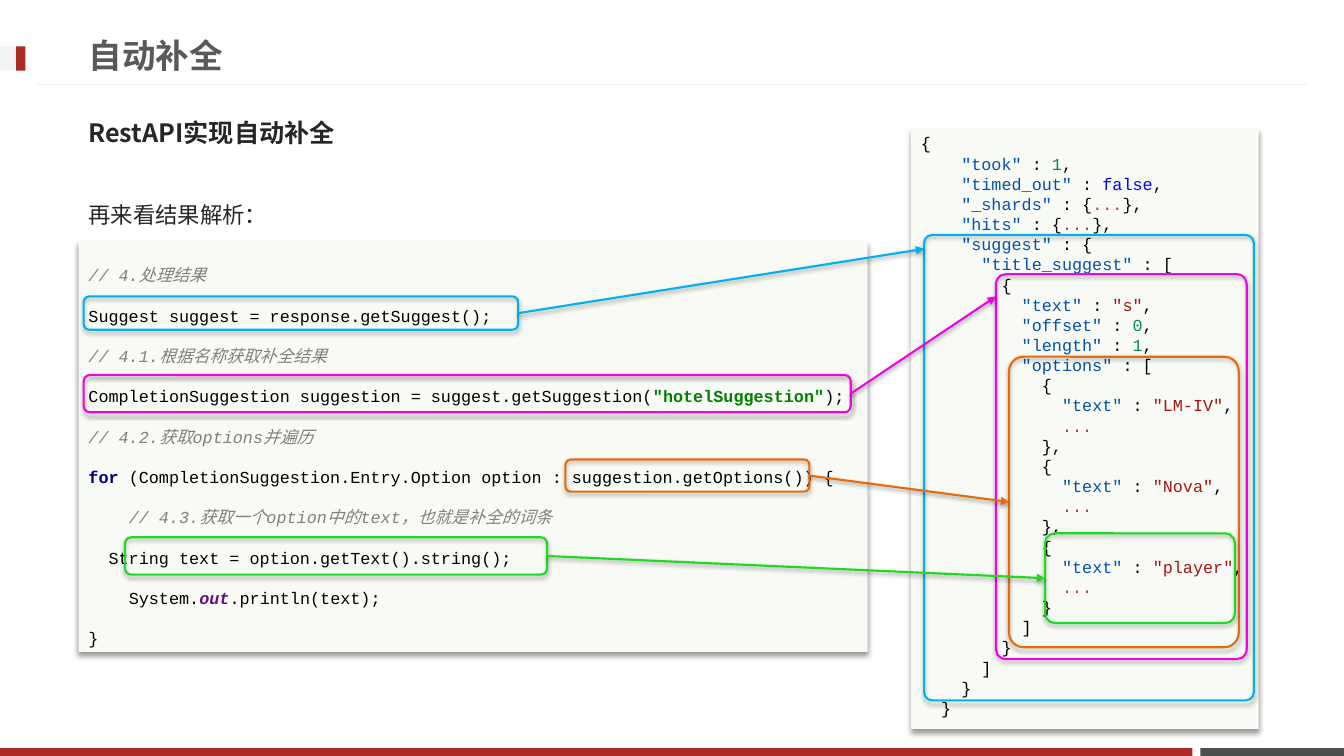
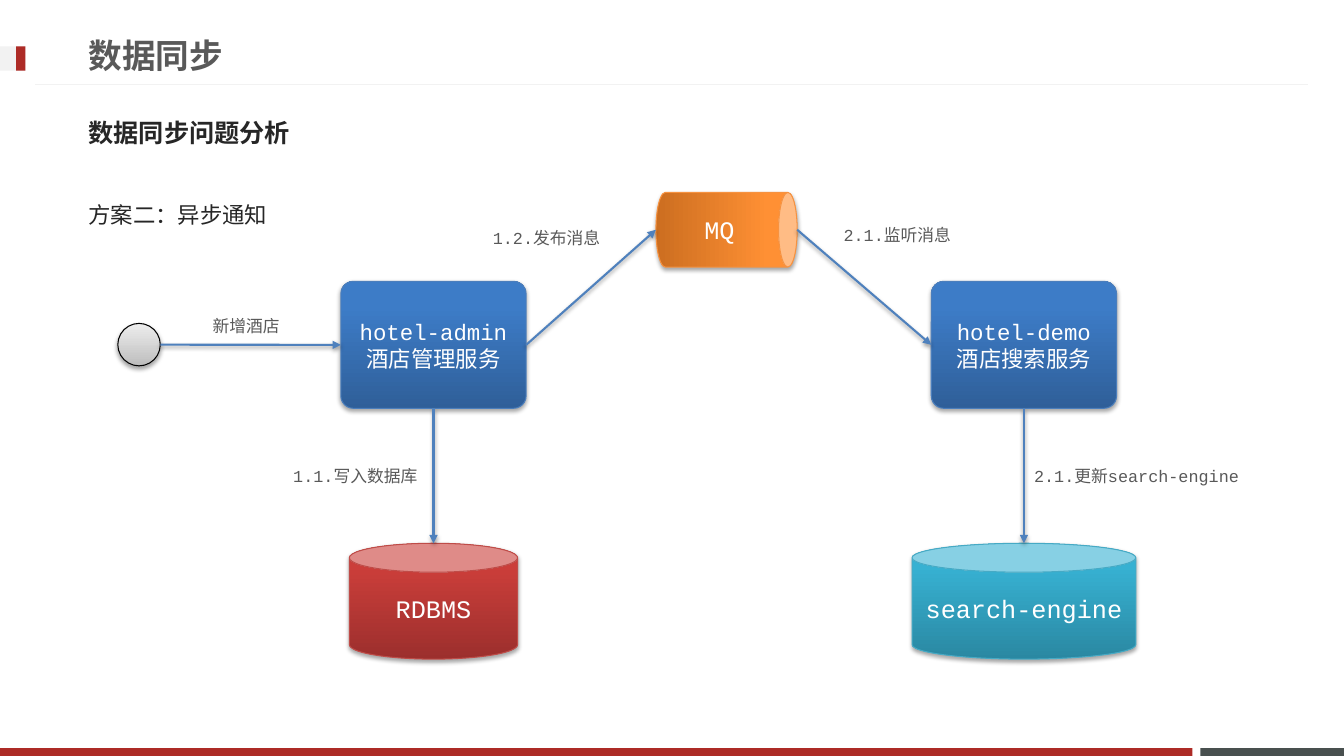
from dataclasses import dataclass

from lxml import etree
from pptx import Presentation
from pptx.dml.color import RGBColor
from pptx.enum.shapes import MSO_CONNECTOR, MSO_SHAPE
from pptx.enum.text import MSO_ANCHOR, PP_ALIGN
from pptx.oxml.ns import qn
from pptx.util import Cm, Pt

RECTANGLE, ROUNDED = MSO_SHAPE.RECTANGLE, MSO_SHAPE.ROUNDED_RECTANGLE
CAN, OVAL = MSO_SHAPE.CAN, MSO_SHAPE.OVAL
STRAIGHT = MSO_CONNECTOR.STRAIGHT
TOP, MIDDLE = MSO_ANCHOR.TOP, MSO_ANCHOR.MIDDLE
LEFT, CENTER = PP_ALIGN.LEFT, PP_ALIGN.CENTER
rgb = RGBColor.from_string


# Records
@dataclass(frozen=True)
class Box:
    """A rectangle in centimetres."""
    left: float
    top: float
    width: float
    height: float

    @property
    def right(self) -> float:
        return self.left + self.width

    @property
    def bottom(self) -> float:
        return self.top + self.height

    @property
    def center(self) -> float:
        return self.left + self.width / 2

    @property
    def middle(self) -> float:
        return self.top + self.height / 2


@dataclass(frozen=True)
class TextStyle:
    font: str
    size: float
    color: RGBColor
    bold: bool = False
    line_spacing: float = 1.0


@dataclass(frozen=True)
class Shadow:
    opacity: int
    blur: float
    distance: float


@dataclass(frozen=True)
class Gradient:
    dark: RGBColor
    light: RGBColor
    line: RGBColor
    light_position: float = 0.8


@dataclass(frozen=True)
class Token:
    text: str
    color: RGBColor = rgb("000000")
    bold: bool = False
    italic: bool = False


@dataclass(frozen=True)
class CodeLine:
    indent: int
    tokens: tuple[Token, ...]


@dataclass(frozen=True)
class Callout:
    color: RGBColor
    source: Box
    target: Box
    corner: float
    arrow_end: float


@dataclass(frozen=True)
class Node:
    preset: int
    box: Box
    gradient: Gradient
    lines: tuple[str, ...] = ()
    size: float = 18
    corner: float | None = None
    rotation: float = 0


# Theme
@dataclass(frozen=True)
class Theme:
    red: RGBColor = rgb("AD2B26")
    slate: RGBColor = rgb("49504F")
    pale: RGBColor = rgb("F2F2F2")
    panel: RGBColor = rgb("F8FBF5")
    white: RGBColor = rgb("FFFFFF")
    arrow: RGBColor = rgb("4F81BD")
    comment: RGBColor = rgb("808080")
    keyword: RGBColor = rgb("000080")
    literal: RGBColor = rgb("008000")
    member: RGBColor = rgb("660E7A")
    json_key: RGBColor = rgb("0451A5")
    json_number: RGBColor = rgb("098658")
    json_boolean: RGBColor = rgb("0000FF")
    json_string: RGBColor = rgb("A31515")
    json_folded: RGBColor = rgb("CD3131")
    cyan: RGBColor = rgb("00B0F0")
    magenta: RGBColor = rgb("F303E2")
    orange: RGBColor = rgb("E46C0A")
    green: RGBColor = rgb("1DD921")
    service: Gradient = Gradient(rgb("2F5F99"), rgb("3D7CC7"), rgb("4B7EBC"))
    database: Gradient = Gradient(rgb("9C2F2D"), rgb("CB3E3A"), rgb("BF4C48"))
    search: Gradient = Gradient(rgb("2A88A2"), rgb("37B1D2"), rgb("46AAC5"))
    queue: Gradient = Gradient(rgb("CC6E20"), rgb("FF9034"), rgb("F69240"))
    start: Gradient = Gradient(rgb("BDBDBD"), rgb("EEEEEE"), rgb("000000"), 1.0)
    title: TextStyle = TextStyle("Roboto", 24, rgb("595959"), True)
    heading: TextStyle = TextStyle("Noto Sans CJK JP", 18, rgb("262626"), True)
    lead: TextStyle = TextStyle("Noto Sans CJK JP", 16, rgb("262626"), False, 1.5)
    label: TextStyle = TextStyle("Courier New", 12, rgb("595959"))
    code: TextStyle = TextStyle("Courier New", 12, rgb("000000"), False, 2.0)
    json: TextStyle = TextStyle("Courier New", 12, rgb("000000"))
    panel_shadow: Shadow = Shadow(40, 4, 3)
    shape_shadow: Shadow = Shadow(35, 3.1, 1.8)
    line_shadow: Shadow = Shadow(38, 3.1, 1.6)


THEME = Theme()
SLIDE_WIDTH, SLIDE_HEIGHT = 33.87, 19.05
CODE_CHARACTER = 0.254  # width of one 12 pt monospaced character, in cm


# Drawing helpers
def set_shadow(properties, shadow: Shadow | None) -> None:
    effects = properties.find(qn("a:effectLst"))
    if effects is None:
        effects = etree.SubElement(properties, qn("a:effectLst"))
    if shadow:
        outer = etree.SubElement(
            effects, qn("a:outerShdw"), blurRad=str(Pt(shadow.blur)),
            dist=str(Pt(shadow.distance)), dir="5400000", rotWithShape="0")
        color = etree.SubElement(outer, qn("a:srgbClr"), val="000000")
        etree.SubElement(color, qn("a:alpha"), val=str(shadow.opacity * 1000))


def add_box(slide, preset: int, box: Box, fill: RGBColor | Gradient | None = None,
            line: RGBColor | None = None, weight: float = 0.75,
            shadow: Shadow | None = None, corner: float | None = None):
    shape = slide.shapes.add_shape(
        preset, Cm(box.left), Cm(box.top), Cm(box.width), Cm(box.height))
    if corner is not None:
        shape.adjustments[0] = corner
    if isinstance(fill, Gradient):
        shape.fill.gradient()
        shape.fill.gradient_angle = 90
        dark, light = shape.fill.gradient_stops
        dark.color.rgb, light.color.rgb = fill.dark, fill.light
        dark.position, light.position = 0, fill.light_position
    elif fill is None:
        shape.fill.background()
    else:
        shape.fill.solid()
        shape.fill.fore_color.rgb = fill
    if line is None:
        shape.line.fill.background()
    else:
        shape.line.color.rgb = line
        shape.line.width = Pt(weight)
    shape.shadow.inherit = False
    set_shadow(shape._element.spPr, shadow)
    return shape


def add_line(slide, start: tuple[float, float], end: tuple[float, float],
             color: RGBColor, weight: float = 1.5, arrow: bool = True) -> None:
    connector = slide.shapes.add_connector(STRAIGHT, *map(Cm, start + end))
    connector.line.color.rgb = color
    connector.line.width = Pt(weight)
    properties = connector._element.spPr
    if arrow:
        etree.SubElement(properties.find(qn("a:ln")), qn("a:tailEnd"), type="triangle")
    set_shadow(properties, THEME.line_shadow if arrow else None)


def style_paragraph(paragraph, style: TextStyle, alignment=LEFT) -> None:
    font = paragraph.font
    font.name, font.size, font.bold = style.font, Pt(style.size), style.bold
    font.color.rgb = style.color
    etree.SubElement(font._element, qn("a:ea"), typeface=style.font)
    paragraph.alignment = alignment
    paragraph.line_spacing = style.line_spacing


def fill_text(shape, lines: tuple[str, ...], style: TextStyle,
              anchor=MIDDLE, alignment=LEFT) -> None:
    frame = shape.text_frame
    frame.word_wrap, frame.vertical_anchor = True, anchor
    frame.text = "\n".join(lines)
    for paragraph in frame.paragraphs:
        style_paragraph(paragraph, style, alignment)


def add_text(slide, box: Box, text: str, style: TextStyle, anchor=TOP) -> None:
    text_box = slide.shapes.add_textbox(
        Cm(box.left), Cm(box.top), Cm(box.width), Cm(box.height))
    fill_text(text_box, (text,), style, anchor)


def add_code_panel(slide, box: Box, lines: list[CodeLine], style: TextStyle, anchor) -> None:
    panel = add_box(slide, RECTANGLE, box, THEME.panel, shadow=THEME.panel_shadow)
    frame = panel.text_frame
    frame.word_wrap, frame.vertical_anchor = True, anchor
    for number, line in enumerate(lines):
        paragraph = frame.add_paragraph() if number else frame.paragraphs[0]
        style_paragraph(paragraph, style)
        margin = Cm(line.indent * CODE_CHARACTER)
        paragraph._p.get_or_add_pPr().set("marL", str(margin))
        for token in line.tokens:
            run = paragraph.add_run()
            run.text = token.text
            run.font.color.rgb = token.color
            run.font.bold, run.font.italic = token.bold, token.italic


def add_base_slide(presentation, title: str, heading: str, lead: str):
    slide = presentation.slides.add_slide(presentation.slide_layouts[6])
    bands = ((Box(30.25, 18.85, 3.62, 0.2), THEME.slate),
             (Box(0, 18.85, 30.05, 0.2), THEME.red),
             (Box(0, 1.17, 0.64, 0.61), THEME.pale),
             (Box(0.41, 1.17, 0.23, 0.61), THEME.red))
    for box, color in bands:
        add_box(slide, RECTANGLE, box, color)
    add_line(slide, (0.89, 2.13), (32.97, 2.13), THEME.pale, 0.75, arrow=False)
    add_text(slide, Box(1.98, 0.66, 24.36, 1.45), title, THEME.title, MIDDLE)
    add_text(slide, Box(1.98, 2.62, 29.72, 1.45), heading, THEME.heading, MIDDLE)
    add_text(slide, Box(1.98, 4.6, 29.72, 1.63), lead, THEME.lead)
    return slide


# Code listings
def code(indent: int, *tokens: Token) -> CodeLine:
    return CodeLine(indent, tokens)


def comment(indent: int, text: str) -> CodeLine:
    return code(indent, Token(text, THEME.comment, italic=True))


def field(indent: int, key: str, value: str, color: RGBColor,
          before: str = "", after: str = ",") -> CodeLine:
    return code(indent, Token(f'"{key}"', THEME.json_key), Token(f" : {before}"),
                Token(value, color), Token(after))


def opening(indent: int, key: str, bracket: str) -> CodeLine:
    return code(indent, Token(f'"{key}"', THEME.json_key), Token(f" : {bracket}"))


def java_lines() -> list[CodeLine]:
    return [
        comment(0, "// 4.处理结果"),
        code(0, Token("Suggest suggest = response.getSuggest();")),
        comment(0, "// 4.1.根据名称获取补全结果"),
        code(0, Token("CompletionSuggestion suggestion = suggest.getSuggestion("),
             Token('"hotelSuggestion"', THEME.literal, bold=True), Token(");")),
        comment(0, "// 4.2.获取options并遍历"),
        code(0, Token("for ", THEME.keyword, bold=True),
             Token("(CompletionSuggestion.Entry.Option option : suggestion.getOptions()) {")),
        comment(4, "// 4.3.获取一个option中的text，也就是补全的词条"),
        code(2, Token("String text = option.getText().string();")),
        code(4, Token("System."), Token("out", THEME.member, bold=True, italic=True),
             Token(".println(text);")),
        code(0, Token("}")),
    ]


def json_lines() -> list[CodeLine]:
    folded, number, string = THEME.json_folded, THEME.json_number, THEME.json_string
    lines = [
        code(0, Token("{")),
        field(4, "took", "1", number),
        field(4, "timed_out", "false", THEME.json_boolean),
        field(4, "_shards", "...", folded, "{", "},"),
        field(4, "hits", "...", folded, "{", "},"),
        opening(4, "suggest", "{"),
        opening(6, "title_suggest", "["),
        code(8, Token("{")),
        field(10, "text", '"s"', string),
        field(10, "offset", "0", number),
        field(10, "length", "1", number),
        opening(10, "options", "["),
    ]
    for name, end in (("LM-IV", "},"), ("Nova", "},"), ("player", "}")):
        lines += [code(12, Token("{")), field(14, "text", f'"{name}"', string),
                  code(14, Token("...", folded)), code(12, Token(end))]
    closings = zip(range(10, 0, -2), "]}]}}")
    return lines + [code(indent, Token(bracket)) for indent, bracket in closings]


# Slides
def build_completion_slide(presentation) -> None:
    slide = add_base_slide(presentation, "自动补全", "RestAPI实现自动补全", "再来看结果解析：")
    add_code_panel(slide, Box(1.98, 6.07, 19.89, 10.36), java_lines(), THEME.code, MIDDLE)
    add_code_panel(slide, Box(22.96, 3.23, 8.76, 15.14), json_lines(), THEME.json, TOP)
    callouts = (
        Callout(THEME.cyan, Box(2.11, 7.47, 10.95, 0.84),
                Box(23.29, 5.92, 8.31, 11.73), 0.025, 6.27),
        Callout(THEME.magenta, Box(2.11, 9.45, 19.33, 0.94),
                Box(25.1, 6.91, 6.32, 9.7), 0.04, 7.47),
        Callout(THEME.orange, Box(14.25, 11.58, 6.15, 0.81),
                Box(25.43, 8.99, 5.79, 7.32), 0.063, 12.65),
        Callout(THEME.green, Box(3.15, 13.54, 10.64, 0.94),
                Box(26.34, 13.44, 4.78, 2.26), 0.106, 14.57),
    )
    for callout in callouts:
        source, target = callout.source, callout.target
        for box, corner in ((source, None), (target, callout.corner)):
            add_box(slide, ROUNDED, box, None, callout.color, 1.5, THEME.shape_shadow, corner)
        add_line(slide, (source.right, source.middle), (target.left, callout.arrow_end),
                 callout.color)


def build_sync_slide(presentation) -> None:
    slide = add_base_slide(presentation, "数据同步", "数据同步问题分析", "方案二：异步通知")
    start, queue = Box(2.97, 8.15, 1.07, 1.07), Box(17.37, 4.01, 1.88, 3.56)
    admin, demo = (Box(left, 7.09, 4.67, 3.2) for left in (8.59, 23.47))
    database, search = (Box(service.center - width / 2, 13.69, width, 2.92)
                        for service, width in ((admin, 4.24), (demo, 5.64)))
    # Arrows between the nodes; the queue lies on its side
    half_queue = queue.height / 2
    arrows = (
        ((start.right, start.middle), (admin.left, admin.middle)),
        ((admin.center, admin.bottom), (database.center, database.top)),
        ((admin.right, admin.middle), (queue.center - half_queue, queue.middle)),
        ((queue.center + half_queue, queue.middle), (demo.left, demo.middle)),
        ((demo.center, demo.bottom), (search.center, search.top)),
    )
    nodes = (
        Node(OVAL, start, THEME.start),
        Node(ROUNDED, admin, THEME.service, ("hotel-admin", "酒店管理服务"), 16, 0.099),
        Node(ROUNDED, demo, THEME.service, ("hotel-demo", "酒店搜索服务"), 16, 0.099),
        Node(CAN, database, THEME.database, ("RDBMS",)),
        Node(CAN, search, THEME.search, ("search-engine",)),
        Node(CAN, queue, THEME.queue, rotation=90),
    )
    for node in nodes:
        shape = add_box(slide, node.preset, node.box, node.gradient, node.gradient.line,
                        shadow=THEME.shape_shadow, corner=node.corner)
        shape.rotation = node.rotation
        if node.lines:
            style = TextStyle("Courier New", node.size, THEME.white)
            fill_text(shape, node.lines, style, alignment=CENTER)
    for begin, end in arrows:
        add_line(slide, begin, end, THEME.arrow)
    add_text(slide, Box(17.5, 5.28, 1.6, 1.02), "MQ",
             TextStyle("Courier New", 18, THEME.white))
    labels = ((5.11, 7.82, 2.39, "新增酒店"), (7.14, 11.61, 3.78, "1.1.写入数据库"),
              (12.17, 5.61, 3.43, "1.2.发布消息"), (21.01, 5.54, 3.43, "2.1.监听消息"),
              (25.81, 11.61, 6.1, "2.1.更新search-engine"))
    for left, top, width, text in labels:
        add_text(slide, Box(left, top, width, 0.76), text, THEME.label)


def main() -> None:
    presentation = Presentation()
    presentation.slide_width, presentation.slide_height = Cm(SLIDE_WIDTH), Cm(SLIDE_HEIGHT)
    build_completion_slide(presentation)
    build_sync_slide(presentation)
    presentation.save("out.pptx")


if __name__ == "__main__":
    main()
